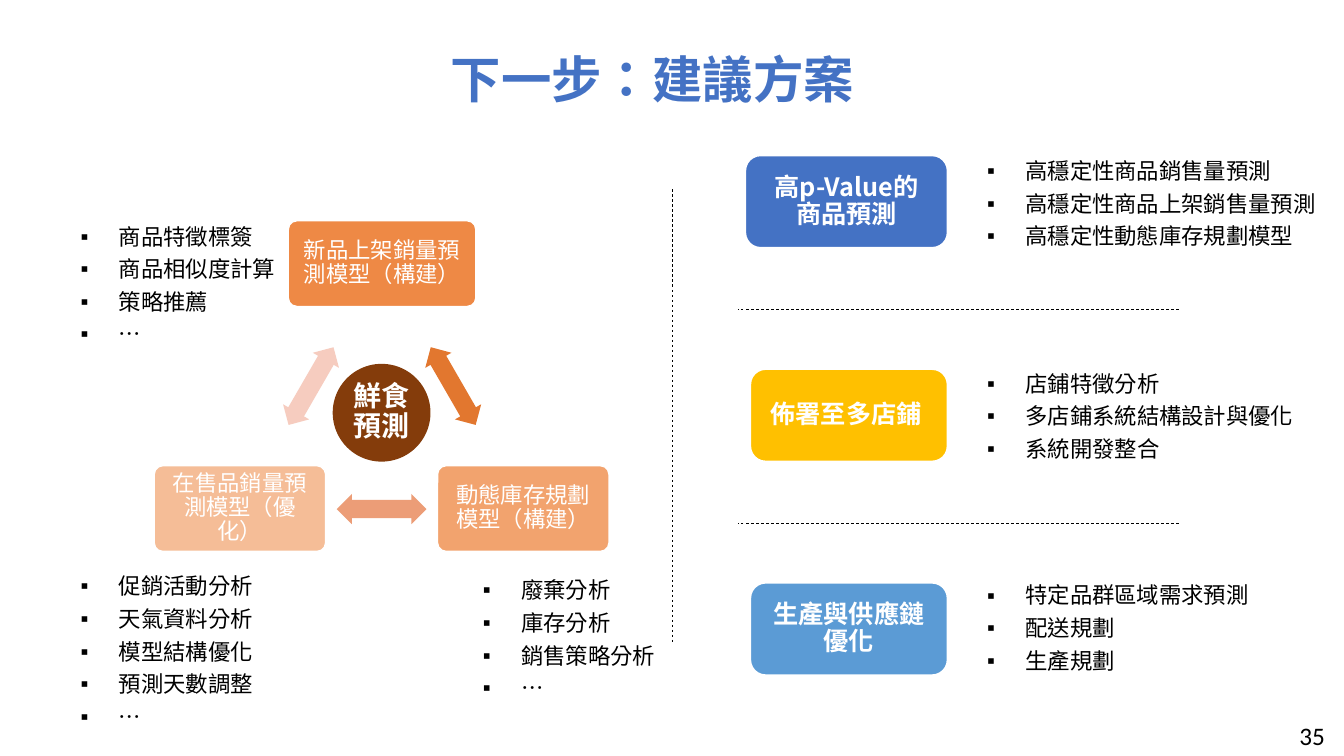
from lxml.etree import SubElement
from pptx import Presentation
from pptx.dml.color import RGBColor
from pptx.enum.dml import MSO_LINE
from pptx.enum.shapes import MSO_CONNECTOR, MSO_SHAPE
from pptx.enum.text import MSO_ANCHOR, PP_ALIGN
from pptx.oxml.ns import qn
from pptx.util import Pt

PX = 9144  # one hundredth of an inch
SANS, BODY = "Noto Sans CJK SC", "Calibri"
WHITE = RGBColor(0xFF, 0xFF, 0xFF)
BLACK = RGBColor(0, 0, 0)
BLUE = RGBColor(0x44, 0x72, 0xC4)
SKY = RGBColor(0x5B, 0x9B, 0xD5)
GOLD = RGBColor(0xFF, 0xC0, 0x00)
ORANGE = RGBColor(0xED, 0x7D, 0x31)
BROWN = RGBColor(0x84, 0x3C, 0x0B)
RUST = RGBColor(0xE2, 0x77, 0x2F)
SALMON = RGBColor(0xEC, 0x9D, 0x77)
PINK = RGBColor(0xF6, 0xCC, 0xBF)


def px(*vals):
    return [v * PX for v in vals]


def write(item, text, size, color=WHITE, font=SANS, bold=False,
          align=PP_ALIGN.CENTER, pad=(0, 0), anchor=MSO_ANCHOR.MIDDLE):
    frame = item.text_frame
    frame.text = text
    frame.word_wrap = True
    frame.vertical_anchor = anchor
    frame.margin_left = frame.margin_right = pad[0] * PX
    frame.margin_top = frame.margin_bottom = pad[1] * PX
    for para in frame.paragraphs:
        para.alignment = align
        para.line_spacing = 0.9
        for run in para.runs:
            run.font.size = Pt(size)
            run.font.bold = bold
            run.font.color.rgb = color
            run.font.name = font
            if font == SANS:
                props = run.font._element
                props.set("lang", "zh-TW")
                SubElement(props, qn("a:ea"), typeface=font)
    return frame


def shape(slide, kind, box, fill, edge=0, alpha=100):
    item = slide.shapes.add_shape(kind, *px(*box))
    item.shadow.inherit = False
    item.fill.solid()
    item.fill.fore_color.rgb = fill
    if alpha < 100:
        tint = item.fill._xPr.find(qn("a:solidFill"))[0]
        SubElement(tint, qn("a:alpha"), val=str(alpha * 1000))
    if edge:
        item.line.color.rgb = WHITE
        item.line.width = Pt(edge)
    else:
        item.line.fill.background()
    return item


def label(slide, box, text, size, **style):
    return write(slide.shapes.add_textbox(*px(*box)), text, size, **style)


def dash(slide, *ends):
    line = slide.shapes.add_connector(MSO_CONNECTOR.STRAIGHT, *px(*ends))
    line.line.color.rgb = BLACK
    line.line.width = Pt(0.5)
    line.line.dash_style = MSO_LINE.DASH
    SubElement(line._element.spPr, qn("a:effectLst"))


def bullets(slide, left, top, lines):
    # Wide enough for the longest line
    wide = 84 + 22 * max(len(line) for line in lines)
    tall = 32 + 33 * len(lines)
    frame = label(slide, (left, top, wide, tall), "\n".join(lines), 16,
                  color=BLACK, align=PP_ALIGN.LEFT, pad=(20, 16),
                  anchor=MSO_ANCHOR.TOP)
    for para in frame.paragraphs:
        para.space_after = Pt(6)
        props = para._p.get_or_add_pPr()
        props.set("marL", str(38 * PX))
        props.set("indent", str(-38 * PX))
        SubElement(props, qn("a:buFont"), typeface="Arial")
        SubElement(props, qn("a:buChar"), char="▪")


# Three linked models around the core topic
def cycle(slide, left, top):
    nodes = [  # centre x, centre y, width, opacity, text
        (226, 43, 186, 90, "新品上架銷量預測模型（構建）"),
        (366, 286, 170, 70, "動態庫存規劃模型（構建）"),
        (85, 286, 170, 50, "在售品銷量預測模型（優化）"),
    ]
    high, long, thick = 85, 89, 30
    for i, (x, y, wide, alpha, text) in enumerate(nodes):
        box = (left + x - wide // 2, top + y - high // 2 - 1, wide, high)
        node = shape(slide, MSO_SHAPE.ROUNDED_RECTANGLE, box, ORANGE, 1, alpha)
        node.adjustments[0] = 0.1
        write(node, text, 16, font=BODY, pad=(9, 9))
        # Arrow halfway to the next node
        end = nodes[(i + 1) % 3]
        mid = (left + (x + end[0]) // 2, top + (y + end[1]) // 2)
        arrow = shape(slide, MSO_SHAPE.LEFT_RIGHT_ARROW,
                      (mid[0] - long // 2, mid[1] - thick // 2, long, thick),
                      (RUST, SALMON, PINK)[i])
        arrow.adjustments[0], arrow.adjustments[1] = 0.6, 0.5
        arrow.rotation = 60 + 120 * i
    core = shape(slide, MSO_SHAPE.OVAL, (left + 177, top + 142, 97, 97), BROWN)
    write(core, "鮮食預測", 20, bold=True)


# Task lists beside the models
def tasks(slide, left, top):
    bullets(slide, left, top, ["商品特徵標簽", "商品相似度計算", "策略推薦", "…"])
    bullets(slide, left, top + 347,
            ["促銷活動分析", "天氣資料分析", "模型結構優化", "預測天數調整", "…"])
    bullets(slide, left + 399, top + 351,
            ["廢棄分析", "庫存分析", "銷售策略分析", "…"])


# Proposal cards with their details
def plans(slide, left, top, step):
    rows = [  # card x, card width, list y, colour, title, details
        (7, 201, -11, BLUE, "高p-Value的\n商品預測",
         ["高穩定性商品銷售量預測", "高穩定性商品上架銷售量預測",
          "高穩定性動態庫存規劃模型"]),
        (12, 196, -12, GOLD, "佈署至多店鋪 ",
         ["店鋪特徵分析", "多店鋪系統結構設計與優化", "系統開發整合"]),
        (12, 196, -14, SKY, "生產與供應鏈\n優化",
         ["特定品群區域需求預測", "配送規劃", "生產規劃"]),
    ]
    for i, (x, wide, drop, fill, text, lines) in enumerate(rows):
        y = top + i * step
        card = shape(slide, MSO_SHAPE.ROUNDED_RECTANGLE,
                     (left + x, y, wide, 92), fill, 1.5)
        write(card, text, 18, bold=True)
        bullets(slide, left + 227, y + drop, lines)
        if i:
            dash(slide, left + 437, y - 59, left, y - 59)


def main():
    deck = Presentation()
    deck.slide_width, deck.slide_height = px(1333, 750)
    slide = deck.slides.add_slide(deck.slide_layouts[6])
    label(slide, (59, 27, 1176, 110), "下一步：建議方案", 36,
          color=BLUE, bold=True, pad=(10, 5))
    cycle(slide, 153, 219)
    tasks(slide, 60, 208)
    dash(slide, 667, 188, 667, 639)
    plans(slide, 732, 154, 212)
    label(slide, (1024, 712, 300, 40), "35", 18, color=BLACK, font=BODY,
          align=PP_ALIGN.RIGHT, pad=(10, 5))
    deck.save("out.pptx")


if __name__ == "__main__":
    main()
